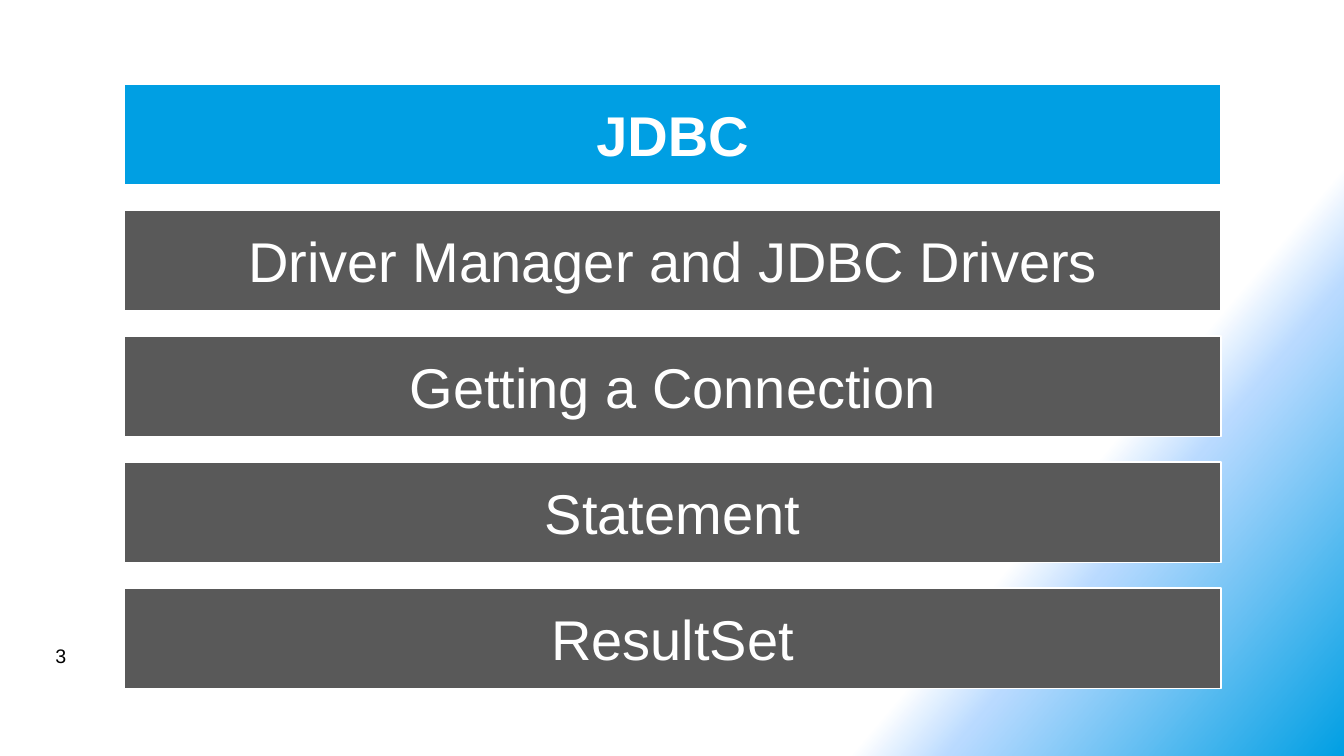
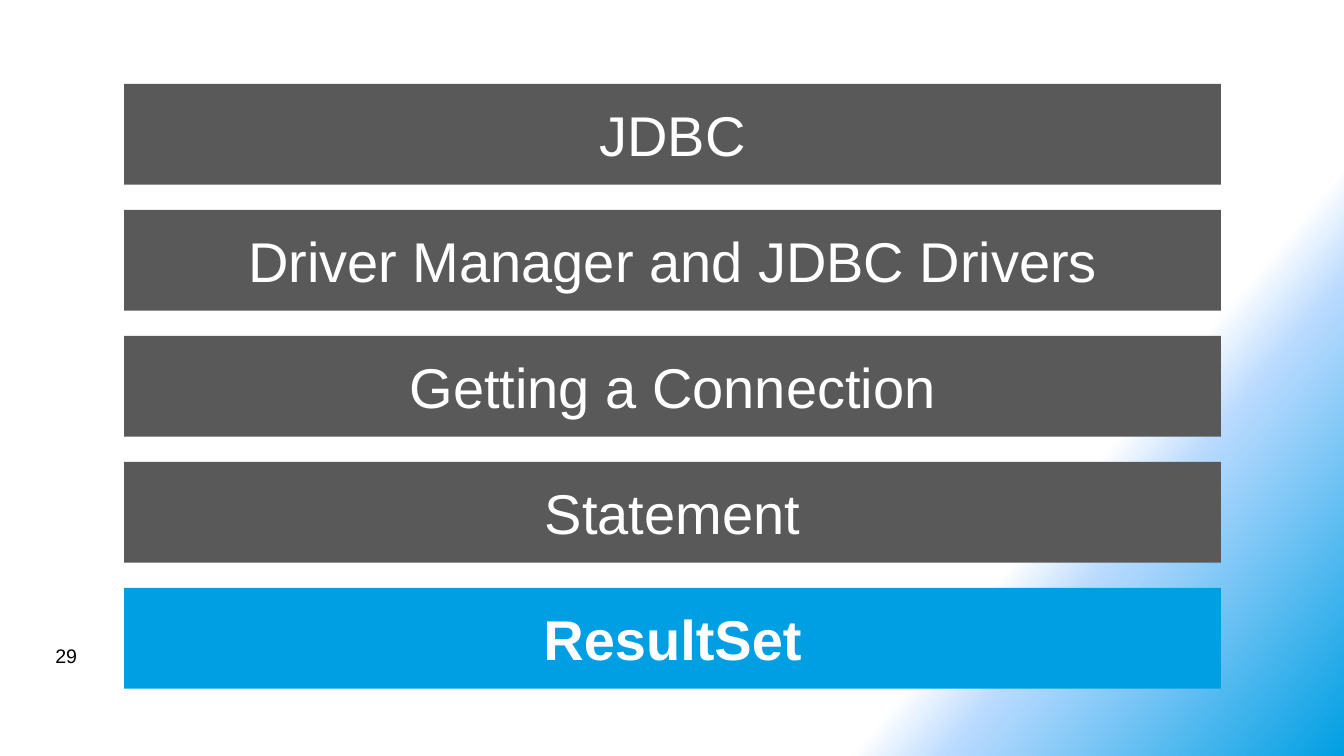
from lxml import etree
from pptx import Presentation
from pptx.dml.color import RGBColor
from pptx.enum.shapes import MSO_SHAPE
from pptx.enum.text import MSO_ANCHOR, PP_ALIGN
from pptx.oxml.ns import qn
from pptx.util import Inches, Pt

RECTANGLE = MSO_SHAPE.RECTANGLE
MIDDLE = MSO_ANCHOR.MIDDLE
CENTER, LEFT = PP_ALIGN.CENTER, PP_ALIGN.LEFT

TOPICS = [
    "JDBC",
    "Driver Manager and JDBC Drivers",
    "Getting a Connection",
    "Statement",
    "ResultSet",
]


def color(hex_string):
    return RGBColor.from_string(hex_string)


class AgendaDeck:
    WIDTH, HEIGHT = 13.33, 7.5
    FONT = "Arial"
    WHITE, BLACK = "FFFFFF", "000000"
    ACTIVE, INACTIVE = "009FE3", "595959"
    # Position, colour and opacity, all positions and opacities in percent
    GRADIENT = [(75, WHITE, 100), (80, "B9DAFF", 50), (100, ACTIVE, 100)]
    GRADIENT_ANGLE = 40

    ROW = HEIGHT / 6
    BAR_LEFT, BAR_WIDTH = 1.23, 10.88
    BAR_TOP, BAR_HEIGHT = ROW * 2 / 3, ROW * 0.8

    def __init__(self):
        self.presentation = Presentation()
        self.presentation.slide_width = Inches(self.WIDTH)
        self.presentation.slide_height = Inches(self.HEIGHT)
        self.slide = None
        self.set_master_background()

    def set_master_background(self):
        master = self.presentation.slide_master
        fill = master.background.fill
        fill.gradient()
        fill.gradient_angle = 360 - self.GRADIENT_ANGLE
        stops = master.element.find(".//" + qn("a:gsLst"))
        for stop in list(stops):
            stops.remove(stop)
        for position, hex_string, opacity in self.GRADIENT:
            stop = etree.SubElement(stops, qn("a:gs"), pos=str(position * 1000))
            stop_color = etree.SubElement(stop, qn("a:srgbClr"), val=hex_string)
            if opacity < 100:
                etree.SubElement(stop_color, qn("a:alpha"), val=str(opacity * 1000))

    def add_slide(self):
        blank_layout = self.presentation.slide_layouts[6]
        self.slide = self.presentation.slides.add_slide(blank_layout)

    def set_text(self, shape, text, size, hex_string, alignment, bold=False):
        shape.text_frame.word_wrap = True
        paragraph = shape.text_frame.paragraphs[0]
        paragraph.text = text
        paragraph.alignment = alignment
        paragraph.font.name = self.FONT
        paragraph.font.size = Pt(size)
        paragraph.font.bold = bold
        paragraph.font.color.rgb = color(hex_string)

    def add_bar(self, row, text, active, outlined):
        bar = self.slide.shapes.add_shape(
            RECTANGLE,
            Inches(self.BAR_LEFT),
            Inches(self.BAR_TOP + row * self.ROW),
            Inches(self.BAR_WIDTH),
            Inches(self.BAR_HEIGHT),
        )
        bar.shadow.inherit = False
        bar.fill.solid()
        bar.fill.fore_color.rgb = color(self.ACTIVE if active else self.INACTIVE)
        if outlined:
            bar.line.color.rgb = color(self.WHITE)
            bar.line.width = Pt(1)
        else:
            bar.line.fill.background()
        bar.text_frame.vertical_anchor = MIDDLE
        self.set_text(bar, text, 40, self.WHITE, CENTER, bold=active)

    def add_page_number(self, number):
        box = self.slide.shapes.add_textbox(
            Inches(0.45), Inches(6.34), Inches(3.11), Inches(0.33)
        )
        self.set_text(box, str(number), 14, self.BLACK, LEFT)

    def add_agenda(self, active_topic, page_number, outlined):
        self.add_slide()
        for row, topic in enumerate(TOPICS):
            self.add_bar(row, topic, topic == active_topic, outlined)
        self.add_page_number(page_number)


def main():
    deck = AgendaDeck()
    deck.add_agenda("JDBC", 3, outlined=True)
    deck.add_agenda("ResultSet", 29, outlined=False)
    deck.presentation.save("out.pptx")


if __name__ == "__main__":
    main()
